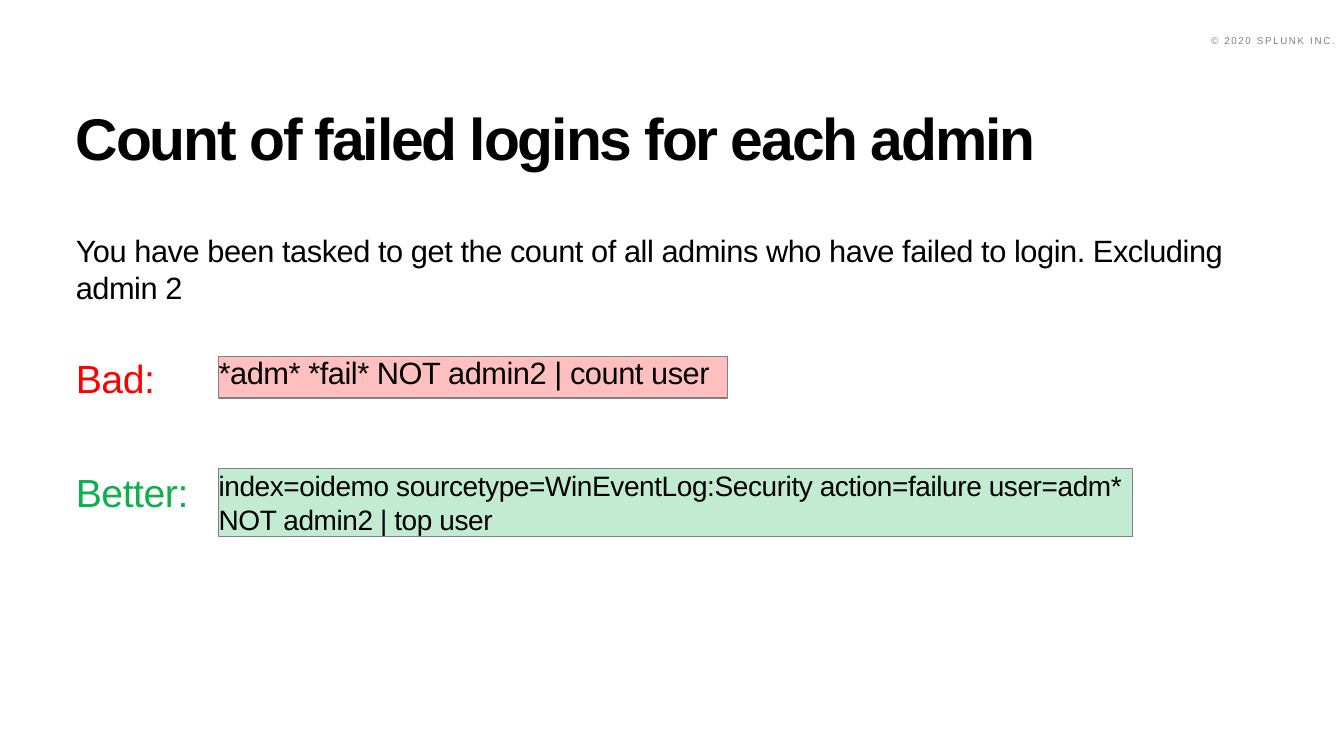
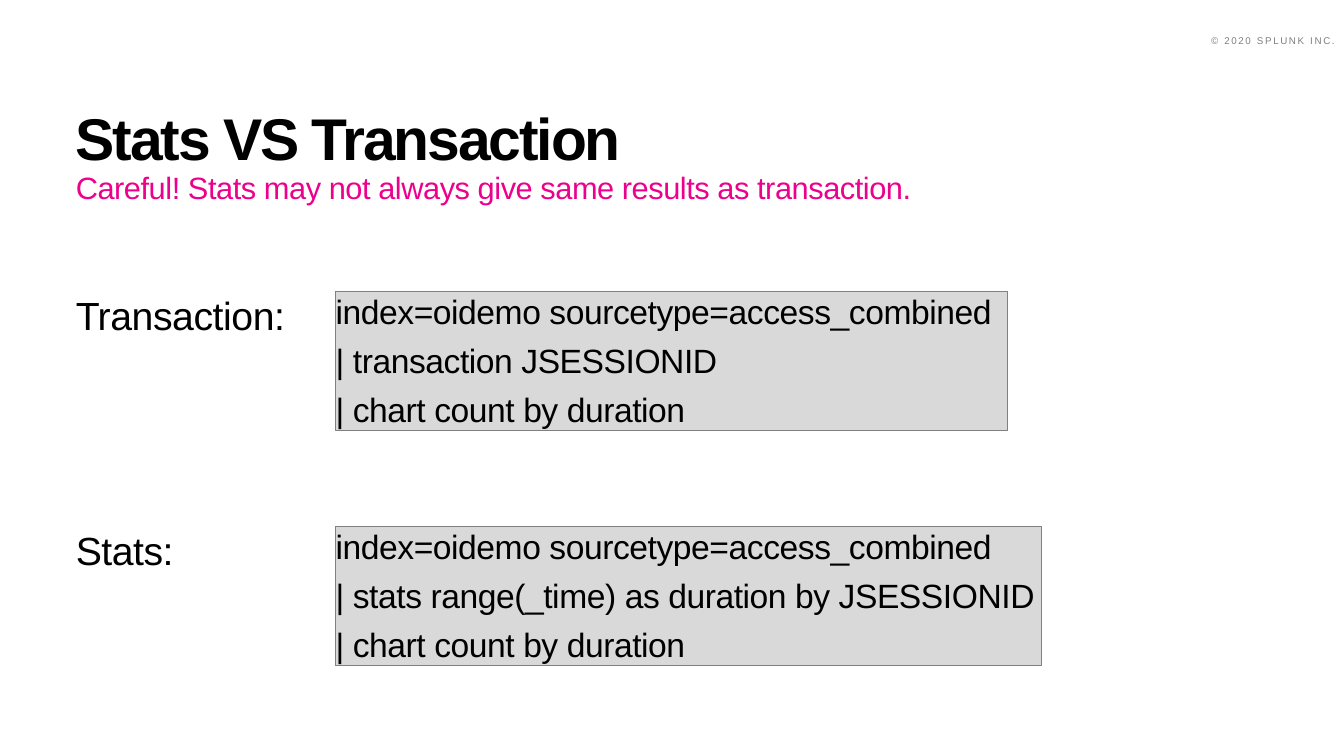
"""Build two slides that compare weak and strong log search queries."""
from dataclasses import dataclass
from typing import Any, Optional

from lxml import etree
from pptx import Presentation
from pptx.dml.color import RGBColor
from pptx.enum.shapes import MSO_SHAPE
from pptx.enum.text import MSO_ANCHOR, MSO_AUTO_SIZE, PP_ALIGN
from pptx.oxml.ns import qn
from pptx.util import Cm, Pt

RECTANGLE = MSO_SHAPE.RECTANGLE
TOP, BOTTOM = MSO_ANCHOR.TOP, MSO_ANCHOR.BOTTOM
LEFT, RIGHT = PP_ALIGN.LEFT, PP_ALIGN.RIGHT
FIXED, GROW = MSO_AUTO_SIZE.NONE, MSO_AUTO_SIZE.SHAPE_TO_FIT_TEXT

COLORS = {
    "text": "000000",
    "muted": "7F7F7F",
    "outline": "808080",
    "bad": "FF0000",
    "better": "0DB14B",
    "accent": "EC008C",
    "code": "D9D9D9",
}
FONT = "Arial"
MARGIN = 1.91
CONTENT_WIDTH = 30.05
LABEL_HEIGHT = 1.19
NO_INSETS = {"margin_left": 0, "margin_top": 0, "margin_right": 0, "margin_bottom": 0}


@dataclass(frozen=True)
class Area:
    """Hold a position and size in centimetres."""
    left: float
    top: float
    width: float
    height: float


@dataclass(frozen=True)
class Style:
    """Hold the format of a text frame."""
    size: float
    color: str = "text"
    bold: bool = False
    tracking: int = -30
    line_spacing: float = 1.0
    space_after: float = 6
    alignment: Any = LEFT
    anchor: Any = TOP
    auto_size: Any = GROW
    wrap: bool = True
    insets: bool = False


@dataclass(frozen=True)
class TextBox:
    """Describe plain text, or filled text when a fill is named."""
    lines: tuple[str, ...]
    area: Area
    style: Style
    fill: Optional[str] = None
    opacity: int = 100
    is_body: bool = False


@dataclass(frozen=True)
class Page:
    """Describe one slide."""
    title: str
    boxes: tuple[TextBox, ...]


TITLE_AREA = Area(MARGIN, 1.45, CONTENT_WIDTH, 2.87)
TITLE_STYLE = Style(42, bold=True, tracking=-150, line_spacing=0.8, space_after=0,
                    anchor=BOTTOM, auto_size=FIXED)
COPYRIGHT = TextBox(
    ("© 2020 SPLUNK INC.",), Area(30.18, 0.74, 3.71, 0.51),
    Style(7, "muted", tracking=120, space_after=0, alignment=RIGHT,
          auto_size=FIXED, wrap=False, insets=True))


def label(text: str, top: float, width: float, color: str = "text",
          wrap: bool = True) -> TextBox:
    """Describe the label at the left of a query."""
    return TextBox((text,), Area(MARGIN, top, width, LABEL_HEIGHT),
                   Style(28, color, wrap=wrap))


def query(top: float, width: float, command: str) -> TextBox:
    """Describe a grey three-line query."""
    lines = ("index=oidemo sourcetype=access_combined", command, "| chart count by duration")
    return TextBox(lines, Area(8.46, top, width, 3.51), Style(24, wrap=False), "code")


PAGES = (
    Page("Count of failed logins for each admin", (
        TextBox(("*adm* *fail* NOT admin2 | count user",), Area(5.51, 8.99, 12.83, 1.04),
                Style(22, line_spacing=0.95, space_after=2, auto_size=FIXED),
                "bad", 25, True),
        label("Bad:", 8.92, 2.01, "bad", False),
        TextBox(("You have been tasked to get the count of all admins who have failed "
                 "to login. Excluding admin 2",),
                Area(MARGIN, 5.84, CONTENT_WIDTH, 1.88), Style(22)),
        label("Better:", 11.81, 2.87, "better", False),
        TextBox(("index=oidemo sourcetype=WinEventLog:Security action=failure user=adm* "
                 "NOT admin2 | top user",),
                Area(5.51, 11.81, 23.04, 1.7), Style(20), "better", 25),
    )),
    Page("Stats VS Transaction", (
        TextBox(("Careful! Stats may not always give same results as transaction.",),
                Area(MARGIN, 4.42, CONTENT_WIDTH, 0.79),
                Style(22, "accent", line_spacing=0.83, space_after=0), is_body=True),
        label("Transaction:", 7.34, 5.36),
        query(7.34, 16.94, "| transaction JSESSIONID"),
        label("Stats:", 13.26, 5.36),
        query(13.26, 17.78, "| stats range(_time) as duration by JSESSIONID"),
    )),
)


def apply(target: Any, values: dict[str, Any]) -> None:
    """Set each named attribute on the target."""
    for name, value in values.items():
        setattr(target, name, value)


def rgb(name: str) -> RGBColor:
    """Return a palette colour."""
    return RGBColor.from_string(COLORS[name])


def place(shape: Any, area: Area) -> None:
    """Move and size a shape."""
    apply(shape, {"left": Cm(area.left), "top": Cm(area.top),
                  "width": Cm(area.width), "height": Cm(area.height)})


def write(shape: Any, lines: tuple[str, ...], style: Style) -> None:
    """Write formatted paragraphs without bullets."""
    frame = shape.text_frame
    frame.text = "\n".join(lines)
    apply(frame, {"word_wrap": style.wrap, "auto_size": style.auto_size,
                  "vertical_anchor": style.anchor})
    if not style.insets:
        apply(frame, NO_INSETS)
    for paragraph in frame.paragraphs:
        properties = paragraph._p.get_or_add_pPr()
        properties.set("marL", "0")
        properties.set("indent", "0")
        etree.SubElement(properties, qn("a:buNone"))
        apply(paragraph, {"alignment": style.alignment, "line_spacing": style.line_spacing,
                          "space_before": Pt(0), "space_after": Pt(style.space_after)})
        for run in paragraph.runs:
            apply(run.font, {"name": FONT, "size": Pt(style.size), "bold": style.bold})
            run.font.color.rgb = rgb(style.color)
            run.font._element.set("spc", str(style.tracking))


def paint(shape: Any, fill: str, opacity: int) -> None:
    """Give a shape its fill and thin outline."""
    shape.fill.solid()
    shape.fill.fore_color.rgb = rgb(fill)
    if opacity < 100:
        color = shape.fill._xPr.find(qn("a:solidFill")).find(qn("a:srgbClr"))
        etree.SubElement(color, qn("a:alpha"), val=str(opacity * 1000))
    shape.line.color.rgb = rgb("outline")
    shape.line.width = Pt(0.75)


def draw_box(slide: Any, box: TextBox) -> None:
    """Draw a text box, filled rectangle or body placeholder."""
    if box.is_body:
        shape = slide.placeholders[1]
    elif box.fill:
        shape = slide.shapes.add_shape(RECTANGLE, 0, 0, 0, 0)
        shape.shadow.inherit = False
    else:
        shape = slide.shapes.add_textbox(0, 0, 0, 0)
    place(shape, box.area)
    if box.fill:
        paint(shape, box.fill, box.opacity)
    write(shape, box.lines, box.style)


def draw_page(presentation: Any, page: Page) -> None:
    """Add one slide with its shared title and copyright line."""
    slide = presentation.slides.add_slide(presentation.slide_layouts[1])
    place(slide.shapes.title, TITLE_AREA)
    write(slide.shapes.title, (page.title,), TITLE_STYLE)
    for box in (COPYRIGHT, *page.boxes):
        draw_box(slide, box)


def main() -> None:
    """Build and save the presentation."""
    presentation = Presentation()
    apply(presentation, {"slide_width": Cm(33.87), "slide_height": Cm(19.05)})
    for page in PAGES:
        draw_page(presentation, page)
    presentation.save("out.pptx")


if __name__ == "__main__":
    main()
